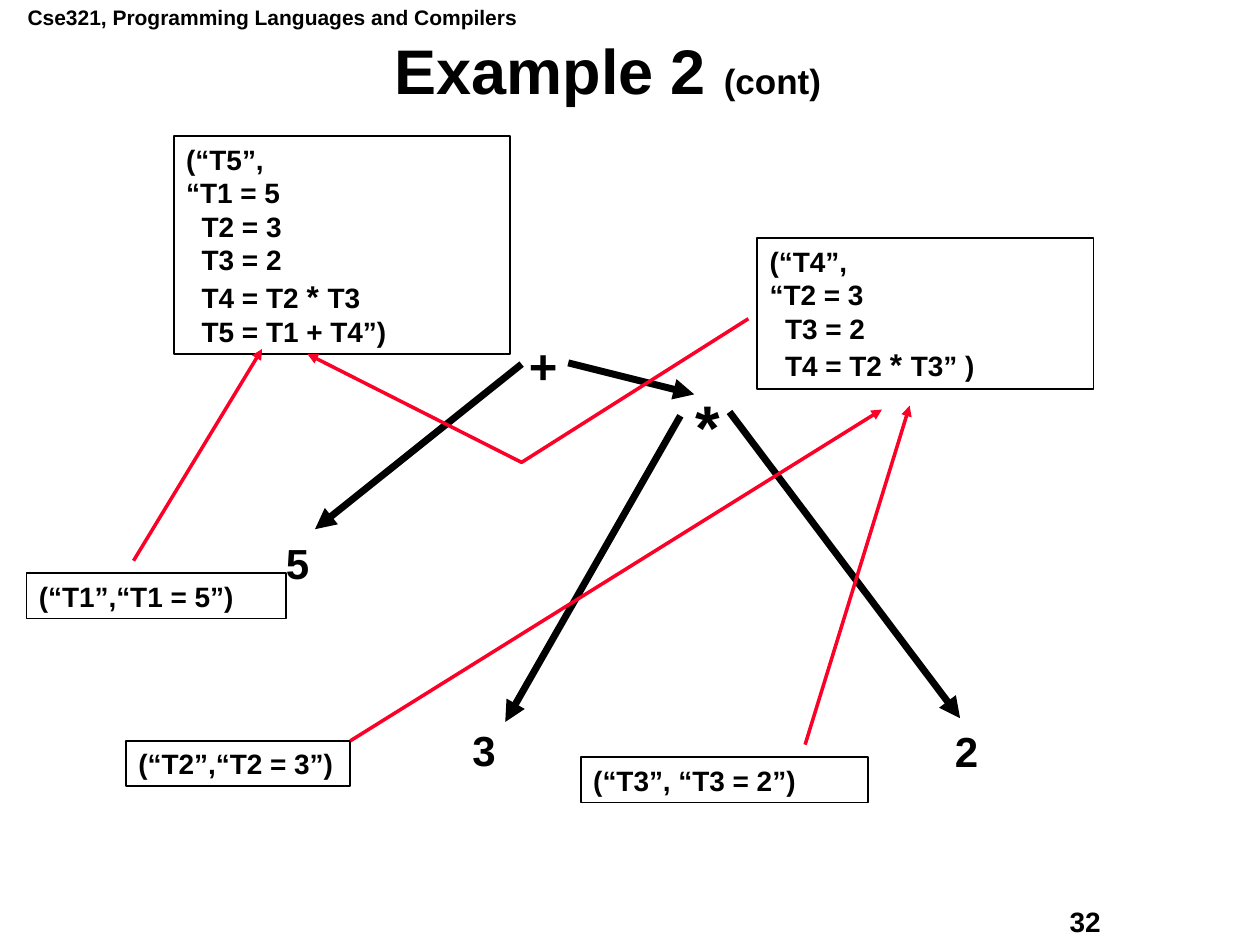
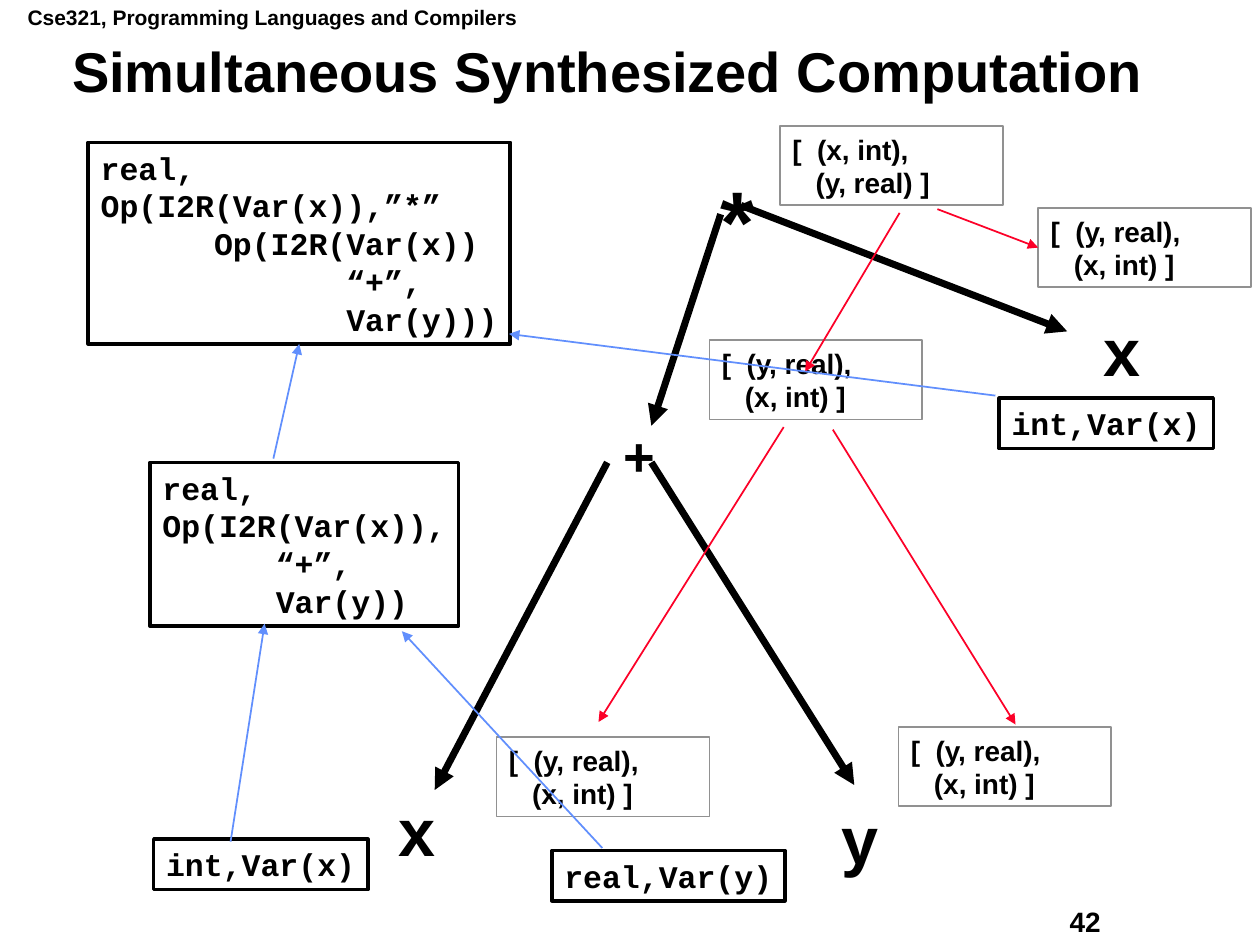
"""Build two slides of syntax trees annotated with synthesized values."""
from lxml import etree
from pptx import Presentation
from pptx.dml.color import RGBColor
from pptx.enum import shapes, text
from pptx.oxml import ns
from pptx.util import Inches, Pt

BLACK = RGBColor(0x00, 0x00, 0x00)
WHITE = RGBColor(0xFF, 0xFF, 0xFF)
GREY = RGBColor(0x91, 0x91, 0x91)
RED = RGBColor(0xFC, 0x01, 0x28)
BLUE = RGBColor(0x61, 0x8F, 0xFD)
SANS, MONO = "Arial", "Courier New"

COURSE = "Cse321, Programming Languages and Compilers"
EDGE_WIDTH = 4
SITES = {"top": 0, "left": 1, "bottom": 2, "right": 3}
BOX_STYLES = {
    "value": dict(font=SANS, size=16, color=BLACK, weight=1, wrap=True),
    "environment": dict(font=SANS, size=16, color=GREY, weight=1, wrap=True),
    "term": dict(font=MONO, size=18, color=BLACK, weight=2, wrap=False),
}
X_INT = ["[  (x, int),", "   (y, real) ]"]
Y_REAL = ["[  (y, real),", "   (x, int) ]"]

SLIDES = [
    dict(
        number="32",
        title=[("Example 2 ", 36), ("(cont)", 20)],
        node_padding=(0.1, 0.05),
        nodes=[
            ("+", 28, (4.1, 2.61, 0.43, 0.56)),
            ("5", 24, (2.17, 4.22, 0.38, 0.5)),
            ("*", 36, (5.42, 3.03, 0.39, 0.7)),
            ("3", 24, (3.65, 5.7, 0.38, 0.5)),
            ("2", 24, (7.48, 5.71, 0.38, 0.5)),
        ],
        edges=[
            ((4.14, 2.89), (2.5, 4.2)),
            ((4.51, 2.88), (5.51, 3.13)),
            ((5.4, 3.3), (4.01, 5.73)),
            ((5.79, 3.27), (7.62, 5.7)),
        ],
        boxes=[
            ("T1", "value", (0.21, 4.55, 2.06, 0.36), ["(“T1”,“T1 = 5”)"]),
            ("T2", "value", (1, 5.88, 1.78, 0.36), ["(“T2”,“T2 = 3”)"]),
            ("T3", "value", (4.61, 6.01, 2.28, 0.36), ["(“T3”, “T3 = 2”)"]),
            ("T4", "value", (6.01, 1.89, 2.67, 1.2),
             ["(“T4”,", "“T2 = 3", "  T3 = 2",
              [("  T4 = T2 ", 16), ("* ", 18), ("T3” )", 16)]]),
            ("T5", "value", (1.38, 1.08, 2.67, 1.73),
             ["(“T5”,", "“T1 = 5", "  T2 = 3", "  T3 = 2",
              [("  T4 = T2 ", 16), ("* ", 18), ("T3", 16)],
              "  T5 = T1 + T4”)"]),
        ],
        flow_width=2,
        flows=[
            (RED, (6.39, 5.91), (7.22, 3.22)),
            (RED, (2.78, 5.88), (7, 3.25)),
            (RED, (1.06, 4.45), (2.08, 2.77)),
            (RED, (5.94, 2.53), (4.14, 3.67), (2.44, 2.81)),
        ],
    ),
    dict(
        number="42",
        title=[("Simultaneous Synthesized Computation", 32)],
        node_padding=(0.16, 0.08),
        nodes=[
            ("*", 50, (5.56, 1.24, 0.59, 0.99)),
            ("+", 31, (4.79, 3.27, 0.57, 0.67)),
            ("x", 38, (3, 6.19, 0.61, 0.79)),
            ("y", 38, (6.52, 6.25, 0.61, 0.79)),
            ("x", 38, (8.6, 2.38, 0.61, 0.79)),
        ],
        edges=[
            ((5.72, 1.7), (5.17, 3.38)),
            ((5.88, 1.63), (8.47, 2.63)),
            ((4.82, 3.67), (3.45, 6.27)),
            ((5.17, 3.67), (6.78, 6.23)),
        ],
        boxes=[
            ("root env", "environment", (6.19, 1, 1.77, 0.63), X_INT),
            ("sum env", "environment", (5.63, 2.7, 1.69, 0.63), Y_REAL),
            ("y env", "environment", (7.13, 5.77, 1.69, 0.63), Y_REAL),
            ("left x env", "environment", (3.94, 5.85, 1.69, 0.63), Y_REAL),
            ("right x env", "environment", (8.24, 1.65, 1.69, 0.63), Y_REAL),
            ("left x", "term", (1.22, 6.66, 1.7, 0.4), ["int,Var(x)"]),
            ("product", "term", (0.7, 1.13, 3.35, 1.6),
             ["real,", "Op(I2R(Var(x)),”*”", "      Op(I2R(Var(x))",
              "             “+”,", "             Var(y)))"]),
            ("y", "term", (4.38, 6.75, 1.85, 0.4), ["real,Var(y)"]),
            ("right x", "term", (7.93, 3.16, 1.7, 0.4), ["int,Var(x)"]),
            ("sum", "term", (1.19, 3.67, 2.45, 1.3),
             ["real,", "Op(I2R(Var(x)),", "      “+”,", "      Var(y))"]),
        ],
        flow_width=1,
        flows=[
            (RED, (7.14, 1.69), (6.39, 2.95)),
            (RED, (6.61, 3.41), (8.06, 5.75)),
            (RED, (6.22, 3.39), (4.75, 5.73)),
            (RED, (7.44, 1.66), ("right x env", "left")),
            (BLUE, (2.17, 3.64), ("product", "bottom")),
            (BLUE, (7.9, 3.14), (4.04, 2.65)),
            (BLUE, (1.83, 6.68), (2.1, 4.95)),
            (BLUE, (4.78, 6.73), (3.19, 5.01)),
        ],
    ),
]


def inches(values):
    return [Inches(value) for value in values]


def add_runs(para, runs, font):
    for words, size in runs:
        span = para.add_run()
        span.text = words
        span.font.name = font
        span.font.size = Pt(size)
        span.font.bold = True
        span.font.color.rgb = BLACK


def write(shape, lines, size, font=SANS, wrap=False, padding=(0.1, 0.05)):
    frame = shape.text_frame
    frame.word_wrap = wrap
    frame.auto_size = text.MSO_AUTO_SIZE.SHAPE_TO_FIT_TEXT
    frame.vertical_anchor = text.MSO_ANCHOR.TOP
    frame.margin_left = frame.margin_right = Inches(padding[0])
    frame.margin_top = frame.margin_bottom = Inches(padding[1])
    for index, line in enumerate(lines):
        para = frame.add_paragraph() if index else frame.paragraphs[0]
        para.alignment = text.PP_ALIGN.LEFT
        add_runs(para, [(line, size)] if isinstance(line, str) else line, font)


def add_label(page, words, size, place, padding=(0.1, 0.05)):
    write(page.shapes.add_textbox(*inches(place)), [words], size, padding=padding)


def add_title(page, runs):
    title = page.shapes.title
    title.left, title.top, title.width, title.height = inches((0.31, 0.31, 9.03, 0.56))
    frame = title.text_frame
    frame.word_wrap = True
    frame.auto_size = text.MSO_AUTO_SIZE.NONE
    frame.vertical_anchor = text.MSO_ANCHOR.MIDDLE
    para = frame.paragraphs[0]
    para.alignment = text.PP_ALIGN.CENTER
    para.line_spacing = 0.9
    add_runs(para, runs, SANS)


def add_box(page, kind, place, lines):
    style = BOX_STYLES[kind]
    box = page.shapes.add_shape(shapes.MSO_SHAPE.RECTANGLE, *inches(place))
    box.shadow.inherit = False
    box.fill.background()
    box.line.color.rgb = style["color"]
    box.line.width = Pt(style["weight"])
    write(box, lines, style["size"], style["font"], style["wrap"])
    return box


def add_arrow(page, color, width, points, boxes):
    if len(points) > 2:
        corners = [inches(point) for point in points]
        builder = page.shapes.build_freeform(*corners[0])
        builder.add_line_segments(corners[1:], close=False)
        arrow = builder.convert_to_shape()
        arrow.fill.background()
        arrow.shadow.inherit = False
    else:
        start, end = points
        joined = isinstance(end[0], str)
        arrow = page.shapes.add_connector(
            shapes.MSO_CONNECTOR.STRAIGHT, *inches(start), *inches(start if joined else end))
        if joined:
            arrow.end_connect(boxes[end[0]], SITES[end[1]])
        etree.SubElement(arrow._element.spPr, ns.qn("a:effectLst"))
    arrow.line.color.rgb = color
    arrow.line.width = Pt(width)
    etree.SubElement(arrow.line._get_or_add_ln(), ns.qn("a:tailEnd"), type="triangle")


def add_tree_slide(deck, content):
    page = deck.slides.add_slide(deck.slide_layouts[5])
    page.background.fill.solid()
    page.background.fill.fore_color.rgb = WHITE
    add_label(page, COURSE, 12, (0.12, -0.01, 4.09, 0.3))
    add_label(page, content["number"], 16, (8.39, 7.13, 1.27, 0.36))
    add_title(page, content["title"])
    for words, size, place in content["nodes"]:
        add_label(page, words, size, place, content["node_padding"])
    for points in content["edges"]:
        add_arrow(page, BLACK, EDGE_WIDTH, points, {})
    boxes = {name: add_box(page, *box) for name, *box in content["boxes"]}
    for color, *points in content["flows"]:
        add_arrow(page, color, content["flow_width"], points, boxes)


def main():
    deck = Presentation()
    deck.slide_width, deck.slide_height = Inches(10), Inches(7.5)
    for content in SLIDES:
        add_tree_slide(deck, content)
    deck.save("out.pptx")


if __name__ == "__main__":
    main()
